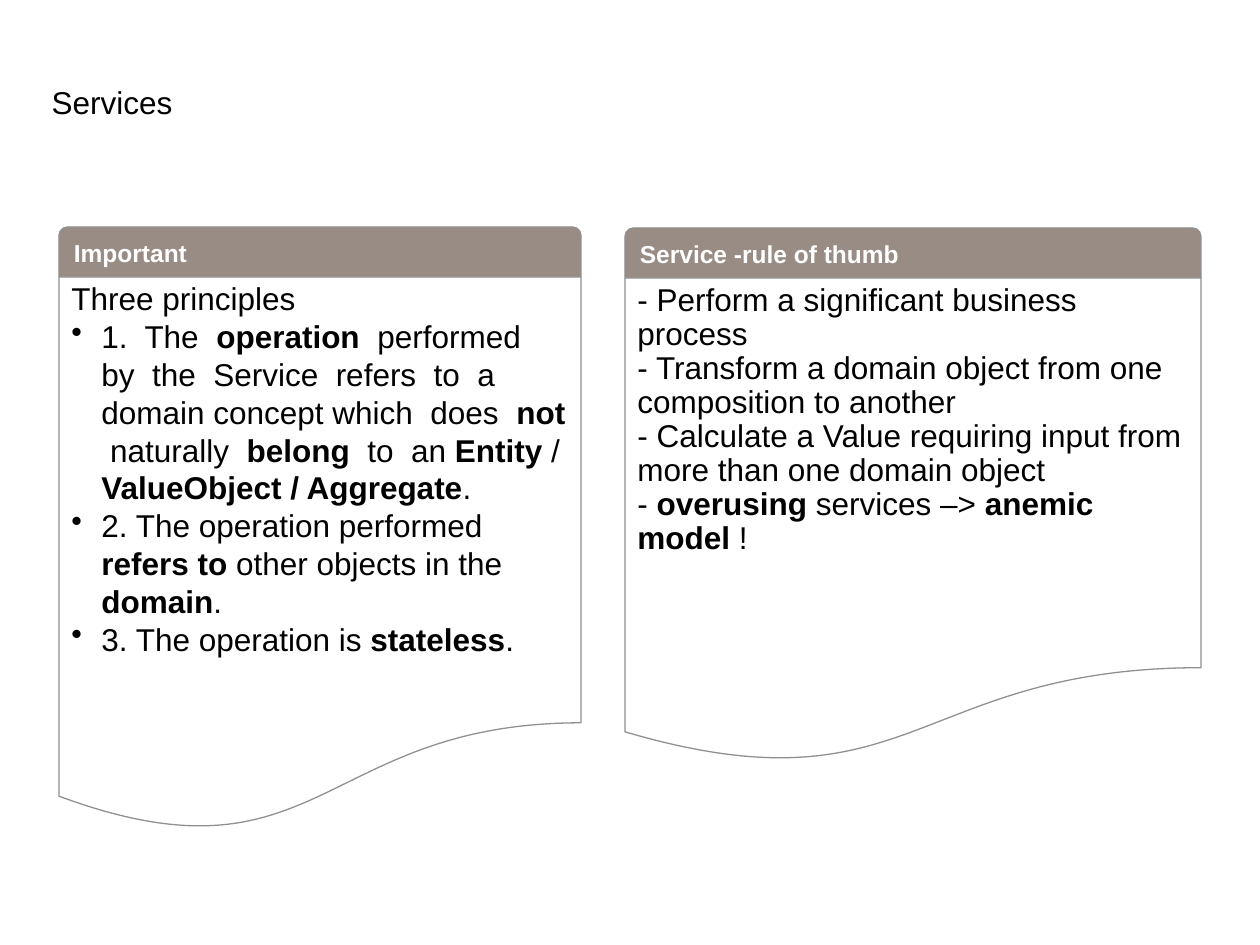
from dataclasses import dataclass

from lxml import etree
from pptx import Presentation
from pptx.dml.color import RGBColor
from pptx.enum.shapes import MSO_SHAPE
from pptx.enum.text import MSO_ANCHOR, PP_ALIGN
from pptx.oxml.ns import qn
from pptx.util import Inches, Pt

HEADER_SHAPE = MSO_SHAPE.ROUND_2_SAME_RECTANGLE
PAGE_SHAPE = MSO_SHAPE.FLOWCHART_DOCUMENT
TOP, MIDDLE, BOTTOM = MSO_ANCHOR.TOP, MSO_ANCHOR.MIDDLE, MSO_ANCHOR.BOTTOM
LEFT = PP_ALIGN.LEFT


@dataclass(frozen=True)
class Theme:
    font: str = "Arial"
    text: RGBColor = RGBColor(0, 0, 0)
    paper: RGBColor = RGBColor(255, 255, 255)
    header: RGBColor = RGBColor(0x99, 0x8C, 0x85)
    outline: RGBColor = RGBColor(0x90, 0x90, 0x90)
    body_size: Pt = Pt(18)
    header_size: Pt = Pt(14)
    outline_width: Pt = Pt(0.75)


THEME = Theme()
PX = Inches(1) / 126
BULLET_INDENT = 30

# Panels: heading, left, width, header top, page height, paragraphs.
# A paragraph is (bulleted, line spacing, text); ** switches bold on and off.
PANELS = [
    ("Important", 59, 522, 227, 556, [
        (False, 0.9, "Three principles"),
        (True, 1.0, "1.  The  **operation**  performed  by  the  Service  refers  to  a  "
                    "domain concept which  does  **not**  naturally  **belong**  to  an "
                    "**Entity** / **ValueObject / Aggregate**."),
        (True, 1.0, "2. The operation performed **refers to** other objects in the **domain**."),
        (True, 1.0, "3. The operation is **stateless**."),
    ]),
    ("Service -rule of thumb", 625, 576, 228, 486, [
        (False, 0.9, "- Perform a significant business process"),
        (False, 0.9, "- Transform a domain object from one composition to another"),
        (False, 0.9, "- Calculate a Value requiring input from more than one domain object"),
        (False, 0.9, "- **overusing **services –> **anemic model** !"),
    ]),
]
HEADER_HEIGHT = 50


def add_panel_part(kind, box, fill, anchor):
    part = slide.shapes.add_shape(kind, *(round(n * PX) for n in box))
    part.shadow.inherit = False
    part.fill.solid()
    part.fill.fore_color.rgb = fill
    part.line.color.rgb = THEME.outline
    part.line.width = THEME.outline_width
    part.text_frame.word_wrap = True
    part.text_frame.vertical_anchor = anchor
    return part


def style_paragraph(paragraph, size, color):
    paragraph.alignment = LEFT
    paragraph.font.name = THEME.font
    paragraph.font.size = size
    paragraph.font.color.rgb = color


prs = Presentation()
prs.slide_width, prs.slide_height = Inches(10), Inches(7.5)
slide = prs.slides.add_slide(prs.slide_layouts[5])

title = slide.shapes.title
title.left, title.top, title.width, title.height = (round(n * PX) for n in (39, 50, 935, 77))
title.text_frame.text = "Services"
title.text_frame.vertical_anchor = BOTTOM
style_paragraph(title.text_frame.paragraphs[0], THEME.body_size, THEME.text)

for heading, left, width, top, page_height, paragraphs in PANELS:
    header = add_panel_part(HEADER_SHAPE, (left, top, width, HEADER_HEIGHT), THEME.header, MIDDLE)
    header.text_frame.text = heading
    heading_line = header.text_frame.paragraphs[0]
    style_paragraph(heading_line, THEME.header_size, THEME.paper)
    heading_line.font.bold = True

    page_box = (left, top + HEADER_HEIGHT, width, page_height)
    page = add_panel_part(PAGE_SHAPE, page_box, THEME.paper, TOP)
    for index, (bulleted, spacing, text) in enumerate(paragraphs):
        frame = page.text_frame
        point = frame.add_paragraph() if index else frame.paragraphs[0]
        style_paragraph(point, THEME.body_size, THEME.text)
        point.line_spacing = spacing
        for position, piece in enumerate(text.split("**")):
            if piece:
                run = point.add_run()
                run.text = piece
                if position % 2:
                    run.font.bold = True
        if bulleted:
            properties = point._p.get_or_add_pPr()
            indent = round(BULLET_INDENT * PX)
            properties.set("marL", str(indent))
            properties.set("indent", str(-indent))
            bullet = etree.Element(qn("a:buChar"), char="•")
            properties.find(qn("a:defRPr")).addprevious(bullet)

prs.save("out.pptx")
